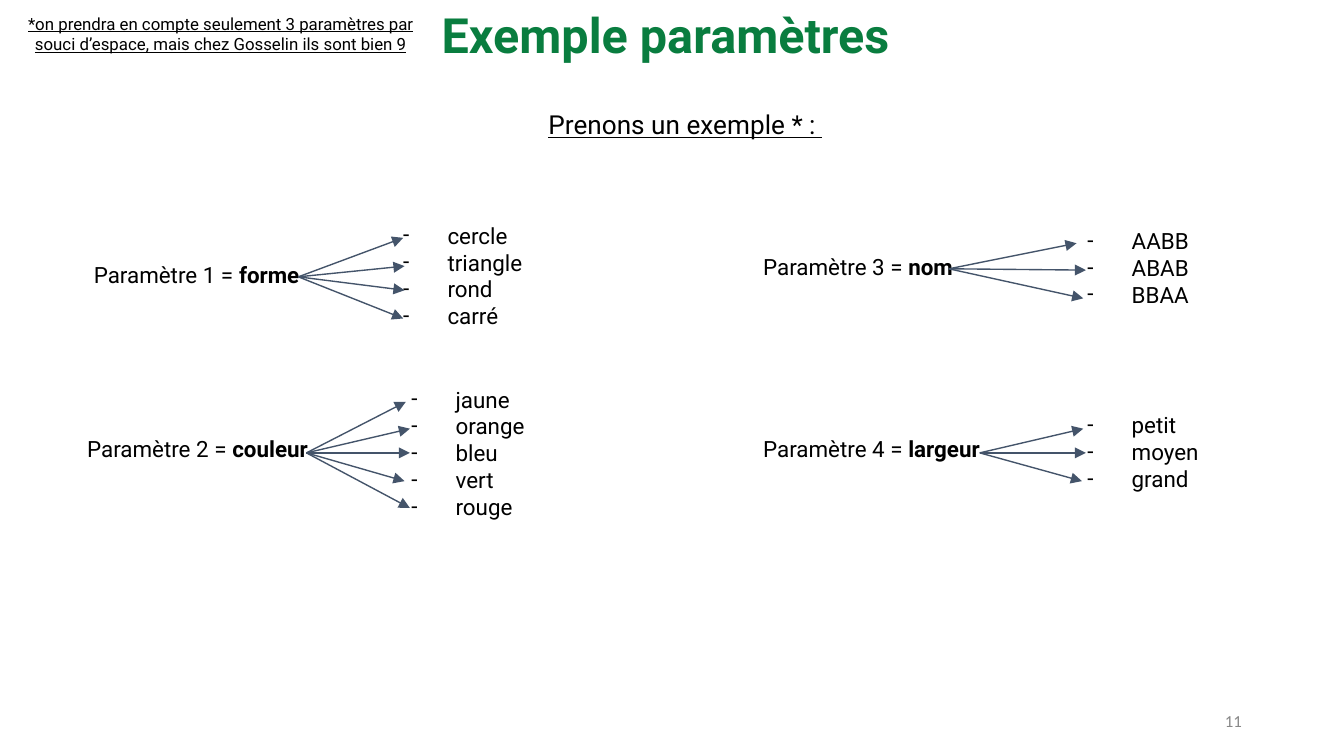
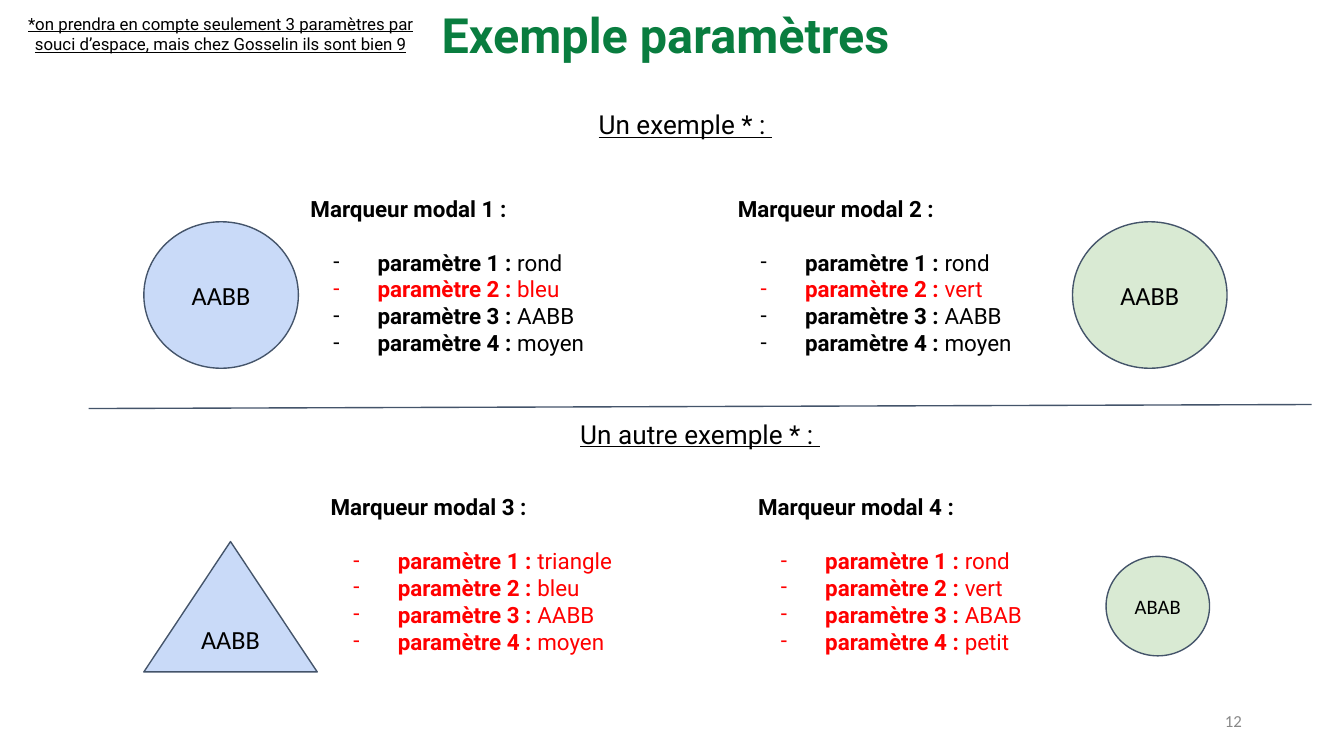
from lxml.etree import SubElement
from pptx import Presentation
from pptx.dml.color import RGBColor
from pptx.enum.shapes import MSO_CONNECTOR as Connector, MSO_SHAPE as Preset
from pptx.enum.text import MSO_ANCHOR as Anchor, MSO_AUTO_SIZE as AutoSize, PP_ALIGN as Align
from pptx.oxml.ns import qn
from pptx.util import Inches, Pt

GREEN = RGBColor(0x09, 0x7D, 0x3F)
BLACK = RGBColor(0, 0, 0)
RED = RGBColor(0xFF, 0, 0)
GREY = RGBColor(0x88, 0x88, 0x88)
SLATE = RGBColor(0x44, 0x54, 0x6A)
LIGHT_BLUE = RGBColor(0xC9, 0xDA, 0xF8)
LIGHT_GREEN = RGBColor(0xD9, 0xEA, 0xD3)

SLIDE_WIDTH = Inches(10)
SLIDE_HEIGHT = SLIDE_WIDTH * 9 // 16
COMPARISON_LAYOUT = 4
TITLE = "Exemple paramètres "
NOTE = "*on prendra en compte seulement 3 paramètres par souci d’espace, mais chez Gosselin ils sont bien 9"

PARAMETERS = [
    ("Paramètre 1 = ", "forme", (0.6, 1.84), (2.73, 1.55, 1.37, 1.03),
     ["cercle", "triangle", "rond", "carré"],
     (2.22, 2.06), [(3, 1.77), (3.01, 1.98), (3.01, 2.16), (3, 2.37)]),
    ("Paramètre 2 = ", "couleur", (0.55, 3.14), (2.79, 2.77, 1.25, 1.31),
     ["jaune", "orange", "bleu", "vert", "rouge"],
     (2.28, 3.37), [(3.02, 2.99), (3.05, 3.19), (3.05, 3.37), (3.01, 3.58), (3.05, 3.78)]),
    ("Paramètre 3 = ", "nom", (5.58, 1.78), (7.82, 1.59, 1.25, 0.83),
     ["AABB", "ABAB", "BBAA"],
     (7.06, 2), [(8.01, 1.81), (8.08, 2.01), (8.06, 2.22)]),
    ("Paramètre 4 = ", "largeur", (5.58, 3.14), (7.82, 2.96, 1.25, 0.83),
     ["petit", "moyen", "grand"],
     (7.29, 3.37), [(8.06, 3.19), (8.08, 3.37), (8.05, 3.58)]),
]

MARKERS = [
    ("Marqueur modal 1 :", (2.21, 1.35, 2.68, 1.47), ["rond", "bleu", "AABB", "moyen"], {2}),
    ("Marqueur modal 2 :", (5.39, 1.35, 2.44, 1.47), ["rond", "vert", "AABB", "moyen"], {2}),
    ("Marqueur modal 3 :", (2.36, 3.57, 2.68, 1.47), ["triangle", "bleu", "AABB", "moyen"], {1, 2, 3, 4}),
    ("Marqueur modal 4 :", (5.54, 3.57, 2.44, 1.47), ["rond", "vert", "ABAB", "petit"], {1, 2, 3, 4}),
]

FIGURES = [
    (Preset.OVAL, (1.07, 1.65, 1.15, 1.09), LIGHT_BLUE, "AABB", 14),
    (Preset.OVAL, (7.98, 1.65, 1.15, 1.09), LIGHT_GREEN, "AABB", 14),
    (Preset.OVAL, (8.23, 4.14, 0.77, 0.74), LIGHT_GREEN, "ABAB", 11),
    (Preset.ISOSCELES_TRIANGLE, (1.07, 4.03, 1.29, 0.97), LIGHT_BLUE, "AABB", 14),
]


def inches(values):
    return [Inches(value) for value in values]


class Deck:
    font = "Roboto"

    def __init__(self, presentation):
        self.presentation = presentation
        self.slide = None

    def start_slide(self, number):
        layout = self.presentation.slide_layouts[COMPARISON_LAYOUT]
        self.slide = self.presentation.slides.add_slide(layout)
        title = self.slide.shapes.title
        self.place(title, (1.48, 0, 7.04, 0.51))
        self.frame(title, 0.07, 0.04).text = TITLE
        self.style(title.text_frame.paragraphs[0], 26, GREEN, bold=True, align=Align.CENTER)
        self.text((0, 0, 3.28, 0.5), NOTE, 9, underline=True, align=Align.CENTER)
        page = self.text((7.06, 5.21, 2.25, 0.3), str(number), 9, GREY, font="Calibri", align=Align.RIGHT)
        self.frame(page, 0.07, 0.04, Anchor.MIDDLE)

    def place(self, shape, box):
        shape.left, shape.top, shape.width, shape.height = inches(box)

    def frame(self, shape, side=0.1, edge=0.1, anchor=Anchor.TOP):
        frame = shape.text_frame
        frame.word_wrap = True
        frame.auto_size = AutoSize.NONE
        frame.vertical_anchor = anchor
        frame.margin_left = frame.margin_right = Inches(side)
        frame.margin_top = frame.margin_bottom = Inches(edge)
        return frame

    def style(self, paragraph, size, color=BLACK, bold=False, underline=False, font=None, align=Align.LEFT):
        paragraph.alignment = align
        for run in paragraph.runs:
            run.font.name = font or self.font
            run.font.size = Pt(size)
            run.font.bold = bold
            run.font.underline = underline
            run.font.color.rgb = color

    def text(self, box, text, size, color=BLACK, **options):
        shape = self.slide.shapes.add_textbox(*inches(box))
        frame = self.frame(shape)
        frame.text = text
        self.style(frame.paragraphs[0], size, color, **options)
        return shape

    def subtitle(self, left, top, text):
        self.text((left, top, 9.1, 0.45), text, 14, underline=True, align=Align.CENTER)

    def label(self, position, text, name):
        shape = self.text((*position, 2.5, 0.45), text, 12)
        paragraph = shape.text_frame.paragraphs[0]
        paragraph.add_run().text = name
        self.style(paragraph, 12)
        paragraph.runs[-1].font.bold = True

    def bullet(self, paragraph, color, indent):
        properties = paragraph._p.get_or_add_pPr()
        properties.set("marL", str(Inches(0.5 if indent else 0)))
        properties.set("indent", str(Inches(-0.33 if indent else 0)))
        if not indent:
            SubElement(properties, qn("a:buNone"))
            return
        fill = SubElement(properties, qn("a:buClr"))
        SubElement(fill, qn("a:srgbClr")).set("val", str(color))
        SubElement(properties, qn("a:buFont")).set("typeface", self.font)
        SubElement(properties, qn("a:buChar")).set("char", "-")

    def list(self, index, box, items, heading=None):
        body = self.slide.placeholders[index]
        self.place(body, box)
        frame = self.frame(body)
        rows = [("", heading, BLACK)] if heading else []
        rows += items
        for number, (lead, text, color) in enumerate(rows):
            paragraph = frame.paragraphs[0] if number == 0 else frame.add_paragraph()
            is_heading = bool(heading) and number == 0
            paragraph.space_before = Pt(14.4 if heading and number == 1 else 0)
            self.bullet(paragraph, color, not is_heading)
            paragraph.text = lead or text
            if lead:
                paragraph.add_run().text = text
            self.style(paragraph, 12, color)
            paragraph.runs[0].font.bold = bool(lead) or is_heading

    def line(self, start, end, arrow=False):
        connector = self.slide.shapes.add_connector(Connector.STRAIGHT, *inches((*start, *end)))
        connector.line.color.rgb = SLATE
        connector.line.width = Pt(0.75)
        if arrow:
            SubElement(connector.line._get_or_add_ln(), qn("a:tailEnd")).set("type", "triangle")
        SubElement(connector._element.spPr, qn("a:effectLst"))

    def figure(self, preset, box, fill, text, size):
        shape = self.slide.shapes.add_shape(preset, *inches(box))
        shape.shadow.inherit = False
        shape.fill.solid()
        shape.fill.fore_color.rgb = fill
        shape.line.color.rgb = SLATE
        shape.line.width = Pt(0.75)
        frame = self.frame(shape, anchor=Anchor.MIDDLE)
        frame.word_wrap = False
        frame.text = text
        self.style(frame.paragraphs[0], size, font="Calibri", align=Align.CENTER)


def build_parameters(deck):
    deck.start_slide(11)
    deck.subtitle(0.55, 0.71, "Prenons un exemple * : ")
    for index, (text, name, position, box, values, start, ends) in enumerate(PARAMETERS, 1):
        deck.label(position, text, name)
        deck.list(index, box, [("", value, BLACK) for value in values])
        for end in ends:
            deck.line(start, end, arrow=True)


def build_markers(deck):
    deck.start_slide(12)
    deck.subtitle(0.55, 0.71, "Un exemple * : ")
    deck.subtitle(0.66, 3.01, "Un autre exemple * : ")
    for index, (heading, box, values, differences) in enumerate(MARKERS, 1):
        items = [(f"paramètre {number} : ", value, RED if number in differences else BLACK)
                 for number, value in enumerate(values, 1)]
        deck.list(index, box, items, heading)
    deck.line((0.66, 3.04), (9.76, 3.01))
    for figure in FIGURES:
        deck.figure(*figure)


def main():
    presentation = Presentation()
    presentation.slide_width = SLIDE_WIDTH
    presentation.slide_height = SLIDE_HEIGHT
    deck = Deck(presentation)
    build_parameters(deck)
    build_markers(deck)
    presentation.save("out.pptx")


if __name__ == "__main__":
    main()
